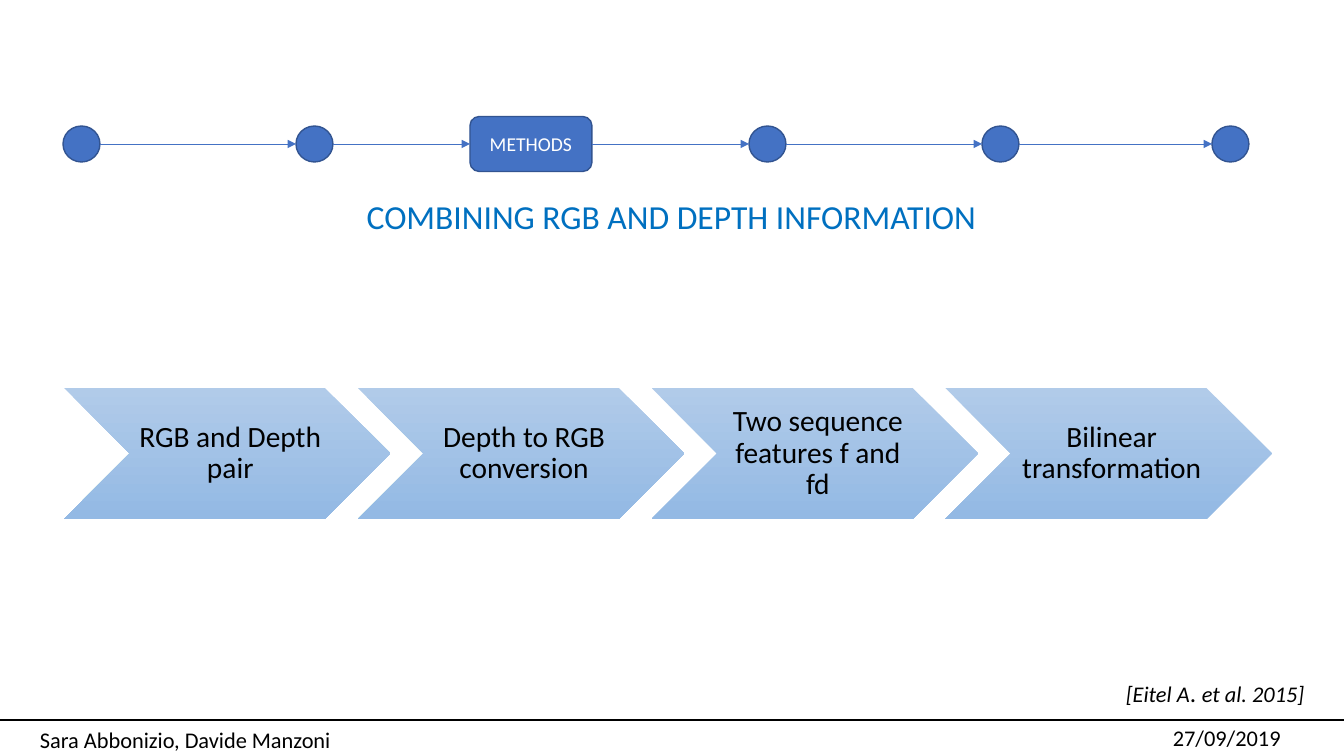
from lxml import etree
from pptx import Presentation
from pptx.dml.color import RGBColor
from pptx.enum.shapes import MSO_CONNECTOR, MSO_SHAPE
from pptx.enum.text import MSO_ANCHOR, PP_ALIGN
from pptx.oxml.ns import qn
from pptx.util import Pt

PX = 914400 / 100.8
FONT = "Calibri"
LINE = MSO_CONNECTOR.STRAIGHT
DOT, STEP, CHEVRON = (MSO_SHAPE.FLOWCHART_CONNECTOR,
                      MSO_SHAPE.FLOWCHART_ALTERNATE_PROCESS, MSO_SHAPE.CHEVRON)
TOP, MIDDLE = MSO_ANCHOR.TOP, MSO_ANCHOR.MIDDLE
LEFT, CENTER = PP_ALIGN.LEFT, PP_ALIGN.CENTER

BLACK, WHITE, HEADING = "000000", "FFFFFF", "0070C0"
BLUE, OUTLINE = "4472C4", "325491"
CHEVRON_SHADES = ("B1CBE9", "93B9E4")

STAGES = ["RGB and Depth pair", "Depth to RGB conversion",
          "Two sequence features f and fd", "Bilinear transformation"]
# Left edge and label of each milestone on the progress track
MILESTONES = [(63, ""), (296, ""), (470, "METHODS"), (749, ""), (982, ""), (1212, "")]


def px(*lengths):
    return [round(length * PX) for length in lengths]


def rgb(hex_color):
    return RGBColor.from_string(hex_color)


def write(shape, runs, color=BLACK, align=LEFT, anchor=TOP, **paragraph_format):
    """Fill a shape with one paragraph of (text, size, italic) runs."""
    frame = shape.text_frame
    frame.word_wrap = True
    frame.vertical_anchor = anchor
    paragraph = frame.paragraphs[0]
    for key, value in {"alignment": align, **paragraph_format}.items():
        setattr(paragraph, key, value)
    for text, size, italic in runs:
        run = paragraph.add_run()
        run.text = text
        run.font.color.rgb = rgb(color)
        for key, value in {"name": FONT, "size": Pt(size), "italic": italic}.items():
            setattr(run.font, key, value)


def add_rule(slide, start, end, color, width, arrow=False):
    rule = slide.shapes.add_connector(LINE, *px(*start, *end))
    rule.line.color.rgb = rgb(color)
    rule.line.width = Pt(width)
    if arrow:
        etree.SubElement(rule.line._get_or_add_ln(), qn("a:tailEnd"), type="triangle")
    etree.SubElement(rule._element.spPr, qn("a:effectLst"))


def add_note(slide, box, runs):
    write(slide.shapes.add_textbox(*px(*box)), runs)


def add_track(slide, center_y):
    """Milestones joined by arrows, all centred on one height."""
    previous_right = None
    for left, label in MILESTONES:
        width, height = (122, 55) if label else (37, 36)
        milestone = slide.shapes.add_shape(
            STEP if label else DOT, *px(left, center_y - height / 2, width, height))
        milestone.shadow.inherit = False
        milestone.fill.solid()
        milestone.fill.fore_color.rgb = rgb(BLUE)
        milestone.line.color.rgb = rgb(OUTLINE)
        milestone.line.width = Pt(1)
        if label:
            write(milestone, [(label, 14, False)], WHITE, CENTER, MIDDLE)
        if previous_right is not None:
            add_rule(slide, (previous_right, center_y), (left, center_y), BLUE, 0.5, True)
        previous_right = left + width


def add_heading(slide, box):
    heading = slide.shapes.title
    for key, value in zip(("left", "top", "width", "height"), px(*box)):
        setattr(heading, key, value)
    write(heading, [("COMBINING RGB AND DEPTH INFORMATION", 24, False)], HEADING, CENTER)


def add_pipeline(slide, box):
    """Chevrons of equal size, each a tenth of its width apart from the next."""
    left, top, width, height = box
    chevron_width = width / (len(STAGES) - 0.1 * (len(STAGES) - 1))
    for index, stage in enumerate(STAGES):
        chevron = slide.shapes.add_shape(
            CHEVRON, *px(left + index * 0.9 * chevron_width, top, chevron_width, height))
        chevron.shadow.inherit = False
        chevron.line.fill.background()
        chevron.fill.gradient()
        chevron.fill.gradient_angle = 270
        for stop, shade in zip(chevron.fill.gradient_stops, CHEVRON_SHADES):
            stop.color.rgb = rgb(shade)
        margins = zip(("left", "top", "right", "bottom"), px(9, 3, 3, 3))
        for side, margin in margins:
            setattr(chevron.text_frame, f"margin_{side}", margin)
        write(chevron, [(stage, 21, False)], BLACK, CENTER, MIDDLE, line_spacing=0.9)


def add_footer(slide, top):
    add_rule(slide, (1344, top), (0, top), BLACK, 1.5)
    add_note(slide, (1163, top - 1, 180, 37), [("27/09/2019", 16, False)])
    add_note(slide, (30, top + 1, 326, 37), [("Sara Abbonizio, Davide Manzoni", 16, False)])


def main():
    deck = Presentation()
    deck.slide_width, deck.slide_height = px(1344, 756)
    slide = deck.slides.add_slide(deck.slide_layouts[5])
    add_footer(slide, 720)
    add_track(slide, 144)
    add_heading(slide, (47, 191, 1249, 50))
    add_pipeline(slide, (64, 388, 1208, 131))
    add_note(slide, (1116, 672, 211, 40),
             [("[Eitel A", 16, True), (". ", 18, False), ("et al. 2015]", 16, True)])
    deck.save("out.pptx")


if __name__ == "__main__":
    main()
